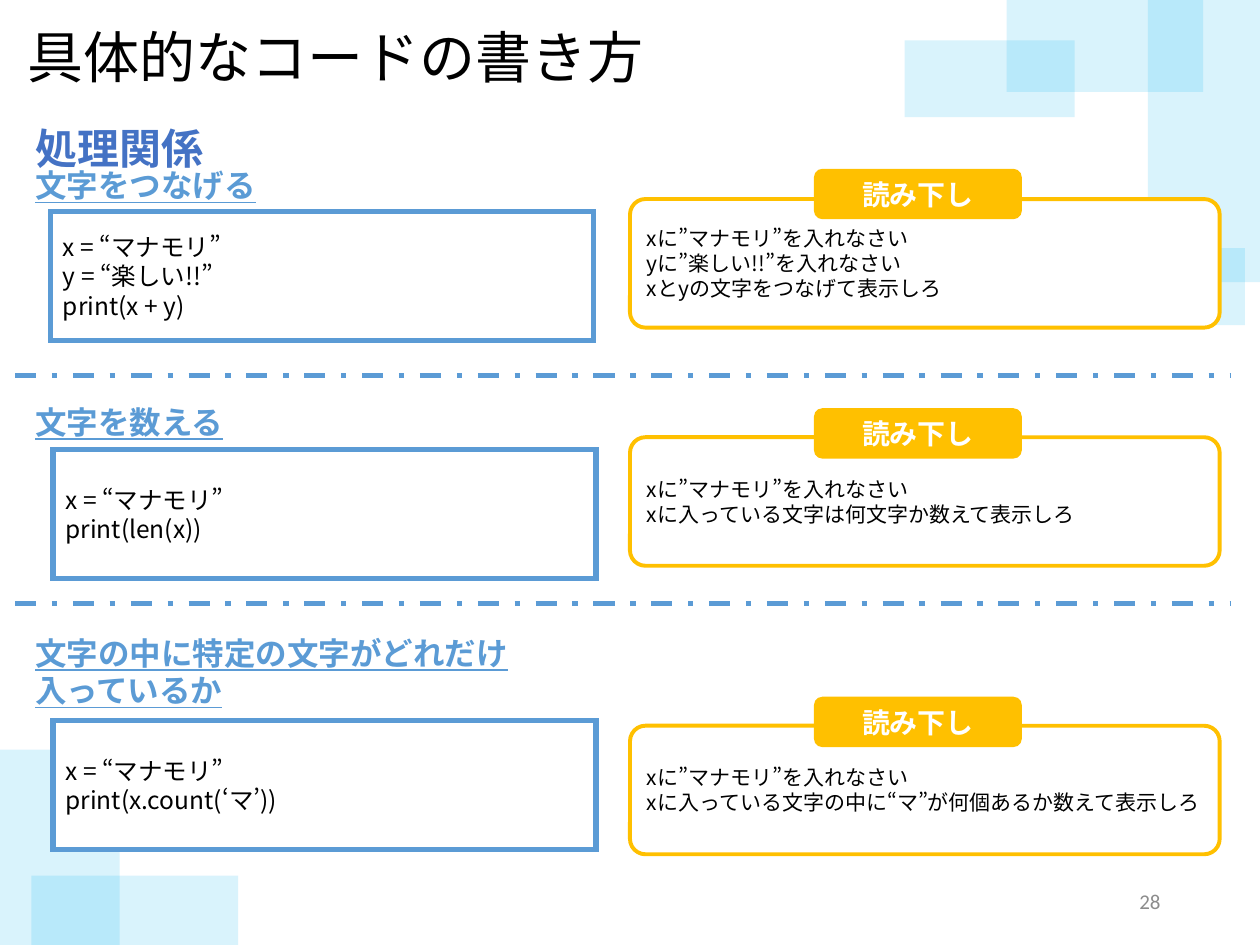
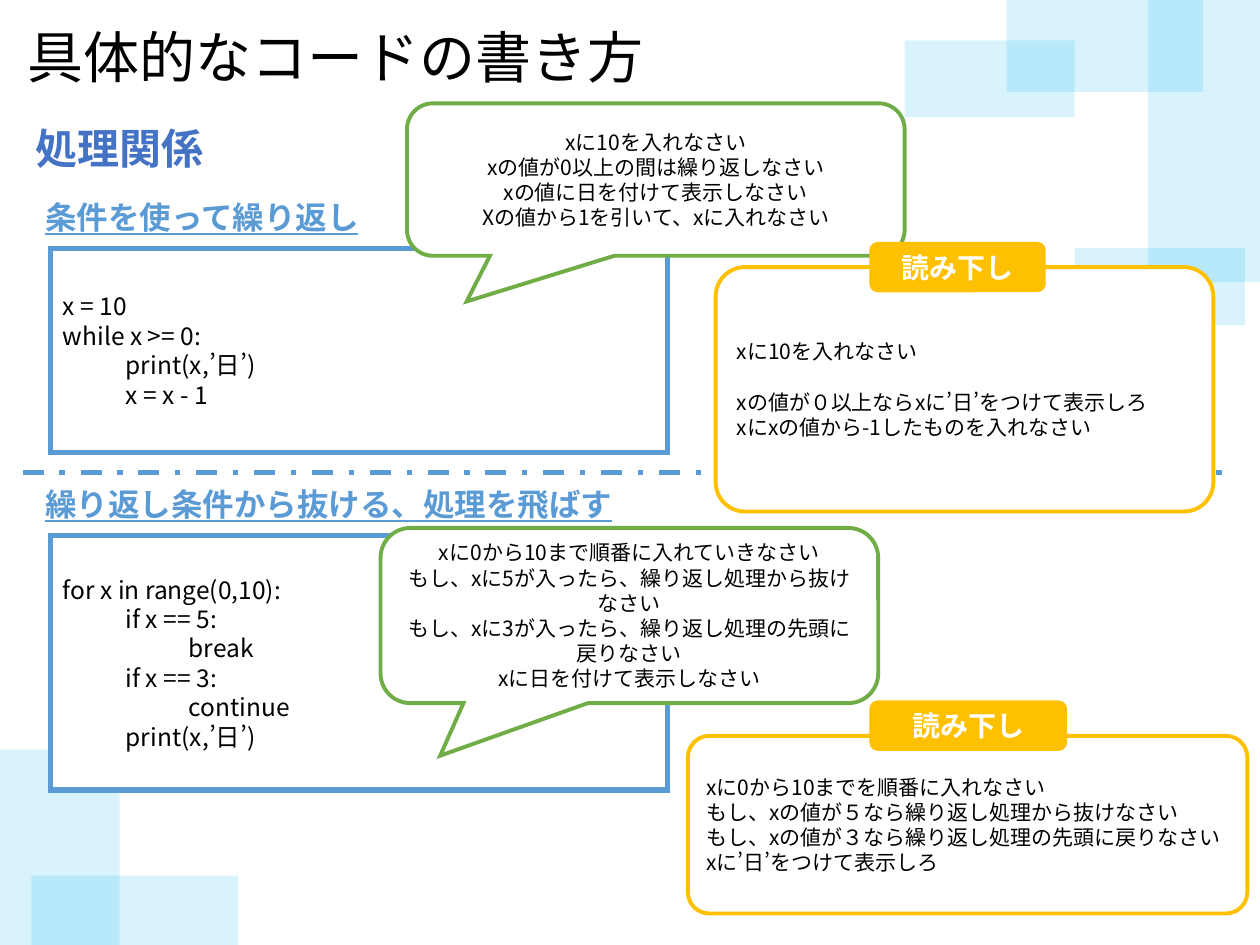
from lxml import etree
from pptx import Presentation
from pptx.dml.color import RGBColor
from pptx.enum.dml import MSO_LINE
from pptx.enum.lang import MSO_LANGUAGE_ID
from pptx.enum.shapes import MSO_CONNECTOR, MSO_SHAPE
from pptx.enum.text import MSO_ANCHOR, MSO_AUTO_SIZE, PP_ALIGN
from pptx.oxml.ns import qn
from pptx.util import Inches, Pt

RECT, ROUND = MSO_SHAPE.RECTANGLE, MSO_SHAPE.ROUNDED_RECTANGLE
CALLOUT = MSO_SHAPE.ROUNDED_RECTANGULAR_CALLOUT
LEFT, CENTER, RIGHT = PP_ALIGN.LEFT, PP_ALIGN.CENTER, PP_ALIGN.RIGHT
TOP, MIDDLE = MSO_ANCHOR.TOP, MSO_ANCHOR.MIDDLE
JAPANESE = MSO_LANGUAGE_ID.JAPANESE

GOTHIC, SANS = "Noto Sans CJK JP", "Calibri"
BLACK, WHITE, GREY = "000000", "FFFFFF", "8C8C8C"
NAVY, BLUE, SKY = "4472C4", "5B9BD5", "00B0F0"
AMBER, GREEN = "FFC000", "70AD47"
colour = RGBColor.from_string

# Text styles
TITLE = {"size": Pt(32), "color": BLACK}
CHAPTER = {"size": Pt(24), "color": NAVY, "bold": True}
HEADING = {"size": Pt(18), "color": BLUE, "bold": True, "underline": True}
CODE = {"size": Pt(14), "color": BLACK}
READING = {"size": Pt(12), "color": BLACK}
TAG = {"size": Pt(16), "color": WHITE, "bold": True}
NUMBER = {"size": Pt(12), "color": GREY, "name": SANS}

deck = Presentation()
deck.slide_width, deck.slide_height = Inches(10), Inches(7.5)
TITLE_ONLY = deck.slide_layouts[5]

# Grid of 100 columns and 75 rows
COLUMN, ROW = deck.slide_width / 100, deck.slide_height / 75


def place(page, kind, at, fill=None, line=None, width=0):
    """Add a preset shape, or a text box when kind is None, on the grid."""
    left, top, wide, high = at
    frame = [round(n) for n in (left * COLUMN, top * ROW, wide * COLUMN, high * ROW)]
    if kind is None:
        return page.shapes.add_textbox(*frame)
    box = page.shapes.add_shape(kind, *frame)
    box.shadow.inherit = False
    box.fill.solid()
    box.fill.fore_color.rgb = colour(fill)
    if line:
        box.line.color.rgb = colour(line)
        box.line.width = Pt(width)
        # Sharp corners
        etree.SubElement(box._element.spPr.find(qn("a:ln")), qn("a:miter"), lim="800000")
    else:
        box.line.fill.background()
    return box


def write(box, lines, style, align=LEFT, anchor=MIDDLE):
    """Write one paragraph a line; the paragraphs are returned."""
    frame = box.text_frame
    frame.word_wrap, frame.auto_size = True, MSO_AUTO_SIZE.NONE
    frame.vertical_anchor = anchor
    for index, line in enumerate(lines):
        para = frame.paragraphs[0] if index == 0 else frame.add_paragraph()
        para.alignment = align
        if line.startswith("\t"):
            stops = etree.SubElement(para._p.get_or_add_pPr(), qn("a:tabLst"))
            for step in (1, 2):
                etree.SubElement(stops, qn("a:tab"), pos=str(Inches(step / 2)), algn="l")
        span = para.add_run()
        span.text = line
        span.font.language_id = JAPANESE
        for key, value in {"name": GOTHIC, **style}.items():
            if key == "color":
                span.font.color.rgb = colour(value)
            else:
                setattr(span.font, key, value)
        etree.SubElement(span._r.get_or_add_rPr(), qn("a:ea"), typeface=span.font.name)
    return frame.paragraphs


BACKDROP = [
    (85.3, 19.7, 13.5, 6.1), (91.1, 0, 8.9, 22.4), (79.9, 0, 15.6, 7.3),
    (71.8, 3.2, 13.5, 6.1), (0, 59.5, 9.5, 15.5), (2.5, 69.5, 16.4, 5.5),
]

# Each section: heading, code, reading and its tag, and maybe a callout
pages = [
    {
        "number": "28", "dividers": [29.8, 47.9], "line_start": 1.2, "line_end": 97.7,
        "sections": [
            {
                "heading": ("文字をつなげる", (1.8, 12.7, 39.5, 4)),
                "code": (["x = “マナモリ”", "y = “楽しい!!”", "print(x + y)"],
                         (4, 16.8, 43.1, 10.2)),
                "reading": (["xに”マナモリ”を入れなさい", "yに”楽しい!!”を入れなさい",
                             "xとyの文字をつなげて表示しろ"], (50, 15.8, 46.8, 10.2)),
                "tag": (64.6, 13.4, 16.5, 4),
            },
            {
                "heading": ("文字を数える", (1.8, 31.5, 39.5, 4)),
                "code": (["x = “マナモリ”", "print(len(x))"], (4.2, 35.7, 43.1, 10.2)),
                "reading": (["xに”マナモリ”を入れなさい",
                             "xに入っている文字は何文字か数えて表示しろ"],
                            (50, 34.7, 46.8, 10.2)),
                "tag": (64.6, 32.4, 16.5, 4),
            },
            {
                "heading": ("文字の中に特定の文字がどれだけ入っているか",
                            (1.8, 49.8, 39.5, 7.1)),
                "code": (["x = “マナモリ”", "print(x.count(‘マ’))"],
                         (4.2, 57.2, 43.1, 10.2)),
                "reading": (["xに”マナモリ”を入れなさい",
                             "xに入っている文字の中に“マ”が何個あるか数えて表示しろ"],
                            (50, 57.6, 46.8, 10.2)),
                "tag": (64.6, 55.3, 16.5, 4),
            },
        ],
    },
    {
        "dividers": [37.5], "line_start": 1.8, "line_end": 98.2,
        "sections": [
            {
                "heading": ("条件を使って繰り返し", (2.6, 15.2, 39.5, 4)),
                "code": (["x = 10", "while x >= 0:", "\tprint(x,’日’)", "\tx = x - 1"],
                         (4, 19.7, 49, 16.2)),
                "callout": (["xに10を入れなさい", "xの値が0以上の間は繰り返しなさい",
                             "xの値に日を付けて表示しなさい",
                             "Xの値から1を引いて、xに入れなさい"],
                            (32.3, 8.2, 39.5, 12.1)),
                "reading": (["xに10を入れなさい", "xの値が０以上ならxに’日’をつけて表示しろ",
                             "xにxの値から-1したものを入れなさい"],
                            (56.8, 21.2, 39.5, 19.4)),
                "gap_before": 1,
                "tag": (69, 19.2, 14, 4),
            },
            {
                "heading": ("繰り返し条件から抜ける、処理を飛ばす", (2.6, 38, 59.6, 4)),
                "code": (["for x in range(0,10):", "\tif x == 5:", "\t\tbreak",
                          "\tif x == 3:", "\t\tcontinue", "\tprint(x,’日’)"],
                         (4, 42.5, 49, 20.2)),
                "callout": (["xに0から10まで順番に入れていきなさい",
                             "もし、xに5が入ったら、繰り返し処理から抜けなさい",
                             "もし、xに3が入ったら、繰り返し処理の先頭に戻りなさい",
                             "xに日を付けて表示しなさい"], (30.2, 41.9, 39.5, 13.9)),
                "reading": (["xに0から10までを順番に入れなさい",
                             "もし、xの値が５なら繰り返し処理から抜けなさい",
                             "もし、xの値が３なら繰り返し処理の先頭に戻りなさい",
                             "xに’日’をつけて表示しろ"], (54.6, 58.4, 44.4, 14.1)),
                "tag": (69, 55.6, 15.7, 4),
            },
        ],
    },
]

for content in pages:
    page = deck.slides.add_slide(TITLE_ONLY)

    # Pale overlapping backdrop
    for at in BACKDROP:
        tile = place(page, RECT, at, SKY)
        tint = tile.fill._xPr.find(qn("a:solidFill"))[0]
        etree.SubElement(tint, qn("a:alpha"), val="15000")

    # Title, chapter and page number
    title = page.shapes.title
    title.left, title.top = round(1.2 * COLUMN), round(1.3 * ROW)
    title.width, title.height = round(63.7 * COLUMN), round(6.4 * ROW)
    write(title, ["具体的なコードの書き方"], TITLE, anchor=TOP)
    chapter = place(page, None, (1.8, 7.2, 51.8, 6.6))
    write(chapter, ["処理関係"], CHAPTER, anchor=TOP)[0].line_spacing = 1.5
    if "number" in content:
        number = place(page, None, (70.6, 69.5, 22.5, 4))
        write(number, [content["number"]], NUMBER, RIGHT)

    # Dividers between sections
    for row in content["dividers"]:
        height = round(row * ROW)
        divider = page.shapes.add_connector(
            MSO_CONNECTOR.STRAIGHT, round(content["line_start"] * COLUMN), height,
            round(content["line_end"] * COLUMN), height)
        divider.line.color.rgb = colour(BLUE)
        divider.line.width = Pt(3)
        divider.line.dash_style = MSO_LINE.DASH_DOT
        etree.SubElement(divider._element.spPr, qn("a:effectLst"))

    for section in content["sections"]:
        # Code
        lines, at = section["code"]
        write(place(page, RECT, at, WHITE, BLUE, 3), lines, CODE)

        # Callout
        if "callout" in section:
            lines, at = section["callout"]
            callout = place(page, CALLOUT, at, WHITE, GREEN, 2.25)
            for index, value in enumerate((-0.38, 0.8, 0.17)):
                callout.adjustments[index] = value
            write(callout, lines, READING, CENTER)

        # Heading
        text, at = section["heading"]
        write(place(page, None, at), [text], HEADING, anchor=TOP)

        # Reading with its tag
        lines, at = section["reading"]
        reading = place(page, ROUND, at, WHITE, AMBER, 2.25)
        reading.adjustments[0] = 0.12
        paras = write(reading, lines, READING)
        if "gap_before" in section:
            paras[section["gap_before"]].space_before = Pt(14.4)
        tag = place(page, ROUND, section["tag"], AMBER)
        write(tag, ["読み下し"], TAG, CENTER)

deck.save("out.pptx")
